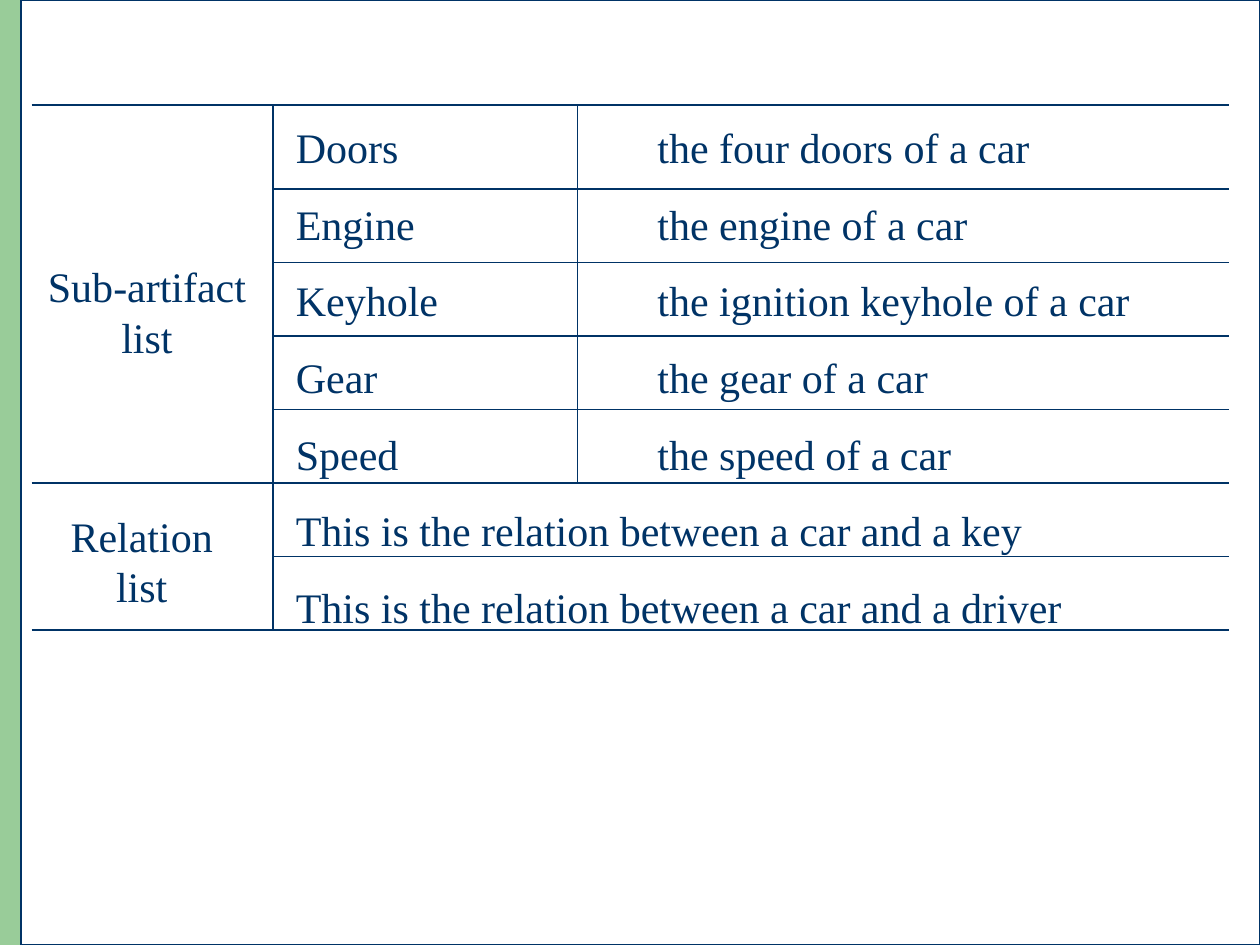
from dataclasses import dataclass

import pptx
import pptx.dml.color
import pptx.enum.shapes
import pptx.enum.text
import pptx.oxml
import pptx.oxml.ns
import pptx.util

COLORS = {"ink": "003366", "strip": "99CC99", "paper": "FFFFFF"}
FONT = "Times New Roman"
UNITS_PER_INCH = 12  # the page is a grid of 120 by 90 units
COLUMNS = [3, 26, 55, 117]
ROWS = [10] + [18 + 7 * step for step in range(7)]
SECTION_ROWS = (0, 5, 7)  # rules that span the full width
DESCRIPTION_TAB = 2.87  # inches from the text edge


@dataclass(frozen=True)
class Area:
    left: float
    top: float
    width: float
    height: float


@dataclass(frozen=True)
class Label:
    text: str
    area: Area


PARTS = [
    "Doors\tthe four doors of a car",
    "Engine\tthe engine of a car",
    "Keyhole\tthe ignition keyhole of a car",
    "Gear\tthe gear of a car",
    "Speed\tthe speed of a car",
]
RELATIONS = [
    "This is the relation between a car and a key",
    "This is the relation between a car and a driver",
]
LABELS = [
    Label("Sub-artifact list", Area(3, 24.25, 22, 10.8)),
    Label("Relation list", Area(3, 48, 21, 10.8)),
]


def units(value: float) -> int:
    return pptx.util.Inches(value / UNITS_PER_INCH)


def place(area: Area) -> list[int]:
    return [units(value) for value in (area.left, area.top, area.width, area.height)]


def color(name: str) -> pptx.dml.color.RGBColor:
    return pptx.dml.color.RGBColor.from_string(COLORS[name])


def add_panel(page, area: Area, fill: str, outline: str | None = None) -> None:
    panel = page.shapes.add_shape(pptx.enum.shapes.MSO_SHAPE.RECTANGLE, *place(area))
    panel.shadow.inherit = False
    panel.fill.solid()
    panel.fill.fore_color.rgb = color(fill)
    if outline:
        panel.line.color.rgb = color(outline)
        panel.line.width = pptx.util.Pt(0.75)
    else:
        panel.line.fill.background()


def add_rule(page, left: float, top: float, right: float, bottom: float) -> None:
    ends = [units(value) for value in (left, top, right, bottom)]
    rule = page.shapes.add_connector(pptx.enum.shapes.MSO_CONNECTOR.STRAIGHT, *ends)
    rule.line.color.rgb = color("ink")
    rule.line.width = pptx.util.Pt(0.75)
    properties = rule._element.spPr
    properties.append(pptx.oxml.parse_xml(f"<a:effectLst {pptx.oxml.ns.nsdecls('a')}/>"))


def add_text(page, area: Area, lines: list[str], *, size: float = 24,
             align=pptx.enum.text.PP_ALIGN.LEFT, gap: float = 15,
             tab: float | None = None) -> None:
    box = page.shapes.add_textbox(*place(area))
    frame = box.text_frame
    frame.word_wrap = True
    for index, line in enumerate(lines):
        para = frame.add_paragraph() if index else frame.paragraphs[0]
        para.alignment = align
        if index:
            para.space_before = pptx.util.Pt(gap)
        if tab and "\t" in line:
            para._p.get_or_add_pPr().append(pptx.oxml.parse_xml(
                f"<a:tabLst {pptx.oxml.ns.nsdecls('a')}>"
                f'<a:tab pos="{pptx.util.Inches(tab)}" algn="l"/></a:tabLst>'))
        span = para.add_run()
        span.text = line
        span.font.name = FONT
        span.font.size = pptx.util.Pt(size)
        span.font.color.rgb = color("ink")


def main() -> None:
    deck = pptx.Presentation()
    deck.slide_width, deck.slide_height = units(120), units(90)
    page = deck.slides.add_slide(deck.slide_layouts[6])

    # Side strip and framed page
    add_panel(page, Area(0, 0, 9.7, 90), "strip")
    add_panel(page, Area(2, 0, 118, 90), "paper", outline="ink")

    # Horizontal rules
    for index, row in enumerate(ROWS):
        start = COLUMNS[0] if index in SECTION_ROWS else COLUMNS[1]
        add_rule(page, start, row, COLUMNS[-1], row)

    # Vertical rules: the second stops where the relations begin
    add_rule(page, COLUMNS[1], ROWS[0], COLUMNS[1], ROWS[-1])
    add_rule(page, COLUMNS[2], ROWS[0], COLUMNS[2], ROWS[5])

    # Entries and section labels
    add_text(page, Area(27, 11, 89, 49.8), PARTS + RELATIONS, tab=DESCRIPTION_TAB)
    for label in LABELS:
        add_text(page, label.area, [label.text], align=pptx.enum.text.PP_ALIGN.CENTER)

    deck.save("out.pptx")


if __name__ == "__main__":
    main()
